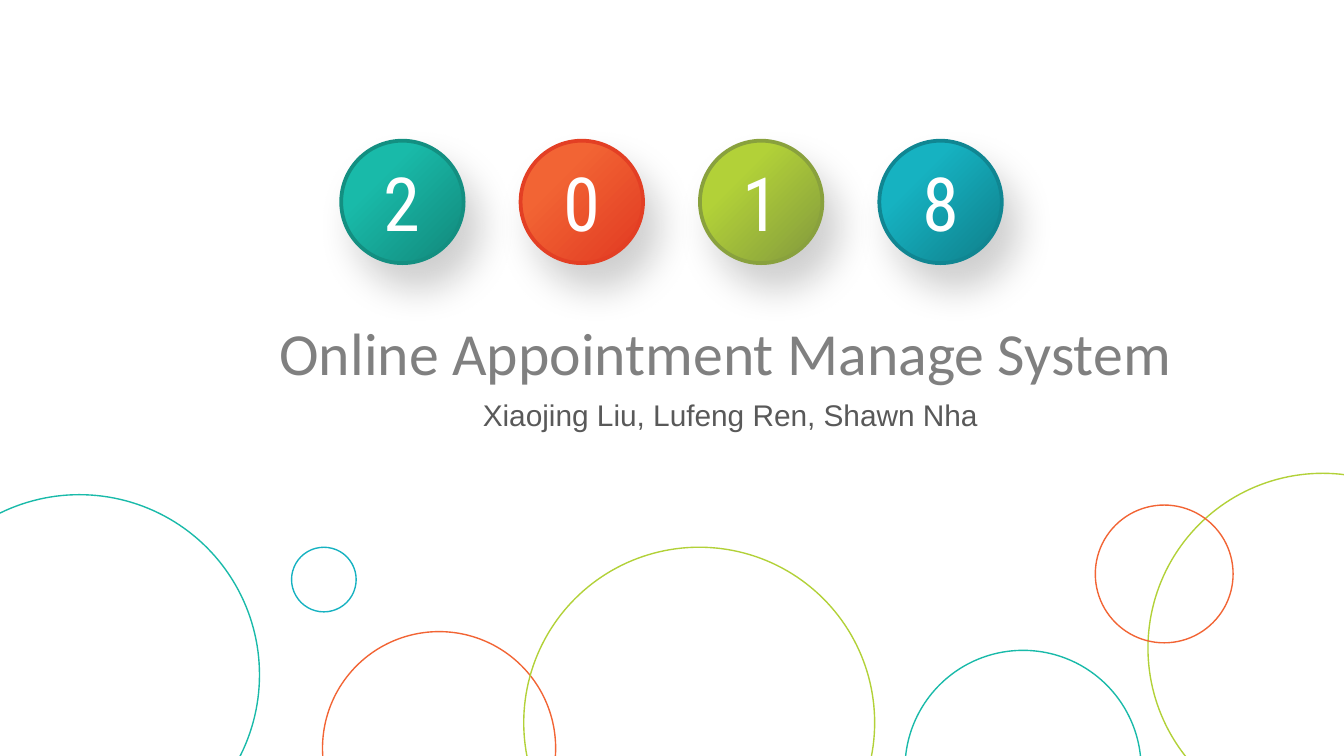
from lxml import etree
from pptx import Presentation
from pptx.dml.color import RGBColor
from pptx.enum.shapes import MSO_SHAPE
from pptx.enum.text import MSO_AUTO_SIZE as AUTO, PP_ALIGN as ALIGN
from pptx.oxml import parse_xml
from pptx.util import Pt

WHITE = RGBColor(0xFF, 0xFF, 0xFF)
TITLE_GRAY = RGBColor(0x80, 0x80, 0x80)
AUTHOR_GRAY = RGBColor(0x59, 0x59, 0x59)
TEAL, DARK_TEAL = RGBColor(0x19, 0xBA, 0xA9), RGBColor(0x13, 0x8F, 0x81)
ORANGE, DARK_ORANGE = RGBColor(0xF2, 0x64, 0x34), RGBColor(0xE3, 0x3F, 0x24)
LIME, DARK_LIME = RGBColor(0xB2, 0xD1, 0x38), RGBColor(0x89, 0xA1, 0x3D)
BLUE, DARK_BLUE = RGBColor(0x16, 0xB2, 0xC1), RGBColor(0x10, 0x86, 0x92)

# Soft shadow: 20 pt blur, 15 pt away, towards 59 degrees, 20 % opaque
SHADOW = (
    '<a:effectLst xmlns:a="http://schemas.openxmlformats.org/drawingml/2006/main">'
    '<a:outerShdw blurRad="254000" dist="190500" dir="3540000" algn="tl" rotWithShape="0">'
    '<a:srgbClr val="0D0D0D"><a:alpha val="20000"/></a:srgbClr>'
    '</a:outerShdw></a:effectLst>'
)

prs = Presentation()
prs.slide_width, prs.slide_height = Pt(720), Pt(405)
slide = prs.slides.add_slide(prs.slide_layouts[6])


def add_circle(left, top, size, color, weight):
    circle = slide.shapes.add_shape(
        MSO_SHAPE.OVAL, Pt(left), Pt(top), Pt(size), Pt(size))
    circle.shadow.inherit = False
    circle.fill.background()
    circle.line.color.rgb = color
    circle.line.width = Pt(weight)
    return circle


def add_label(text, box, font, size, color, align=ALIGN.CENTER, wrap=False):
    frame = slide.shapes.add_textbox(*[Pt(length) for length in box]).text_frame
    frame.word_wrap = wrap
    frame.auto_size = AUTO.SHAPE_TO_FIT_TEXT
    paragraph = frame.paragraphs[0]
    paragraph.alignment = align
    run = paragraph.add_run()
    run.text = text
    run.font.name = font
    run.font.size = Pt(size)
    run.font.color.rgb = color


# Background rings: left, top, diameter, colour
rings = [
    (-54, 265, 193, TEAL),
    (172.8, 338.4, 124.9, ORANGE),
    (156.2, 293.2, 34.6, BLUE),
    (615, 253.6, 187.2, LIME),
    (280.6, 293.2, 188, LIME),
    (586.8, 270.6, 73.8, ORANGE),
    (484.8, 348.4, 126.5, TEAL),
]
for left, top, diameter, color in rings:
    add_circle(left, top, diameter, color, 0.75)

# Year badges, evenly spaced
badges = [
    ("2", TEAL, DARK_TEAL),
    ("0", ORANGE, DARK_ORANGE),
    ("1", LIME, DARK_LIME),
    ("8", BLUE, DARK_BLUE),
]
BADGE_LEFT, BADGE_STEP, BADGE_SIZE, DIGIT_WIDTH = 182.8, 96.1, 65.6, 36
for i, (digit, light, dark) in enumerate(badges):
    left = BADGE_LEFT + i * BADGE_STEP
    badge = add_circle(left, 75.4, BADGE_SIZE, dark, 2)
    badge.fill.gradient()
    badge.fill.gradient_angle = 315
    for stop, position, color in zip(
            badge.fill.gradient_stops, (0.3, 0.9), (light, dark)):
        stop.position = position
        stop.color.rgb = color
    properties = badge.element.spPr
    properties.replace(properties.find("{*}effectLst"), parse_xml(SHADOW))
    digit_left = left + (BADGE_SIZE - DIGIT_WIDTH) / 2
    add_label(digit, (digit_left, 80.6, DIGIT_WIDTH, 55.4),
              "Roboto Condensed", 40, WHITE)

# Title and authors
add_label("Online Appointment Manage System", (142.6, 165.6, 497.5, 46),
          "Calibri", 32, TITLE_GRAY, ALIGN.LEFT)
add_label("Xiaojing Liu, Lufeng Ren, Shawn Nha", (221.8, 208.8, 339, 26.6),
          "Arial", 16, AUTHOR_GRAY, wrap=True)

prs.save("out.pptx")
